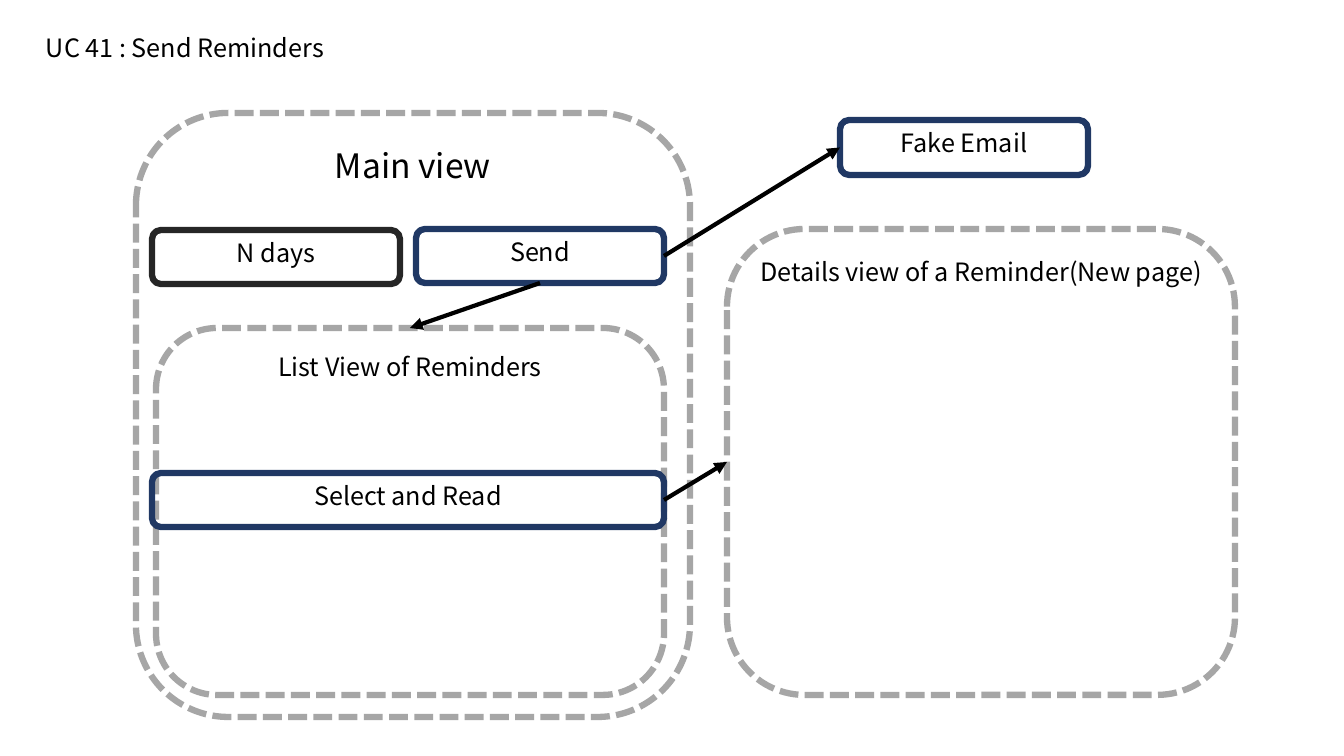
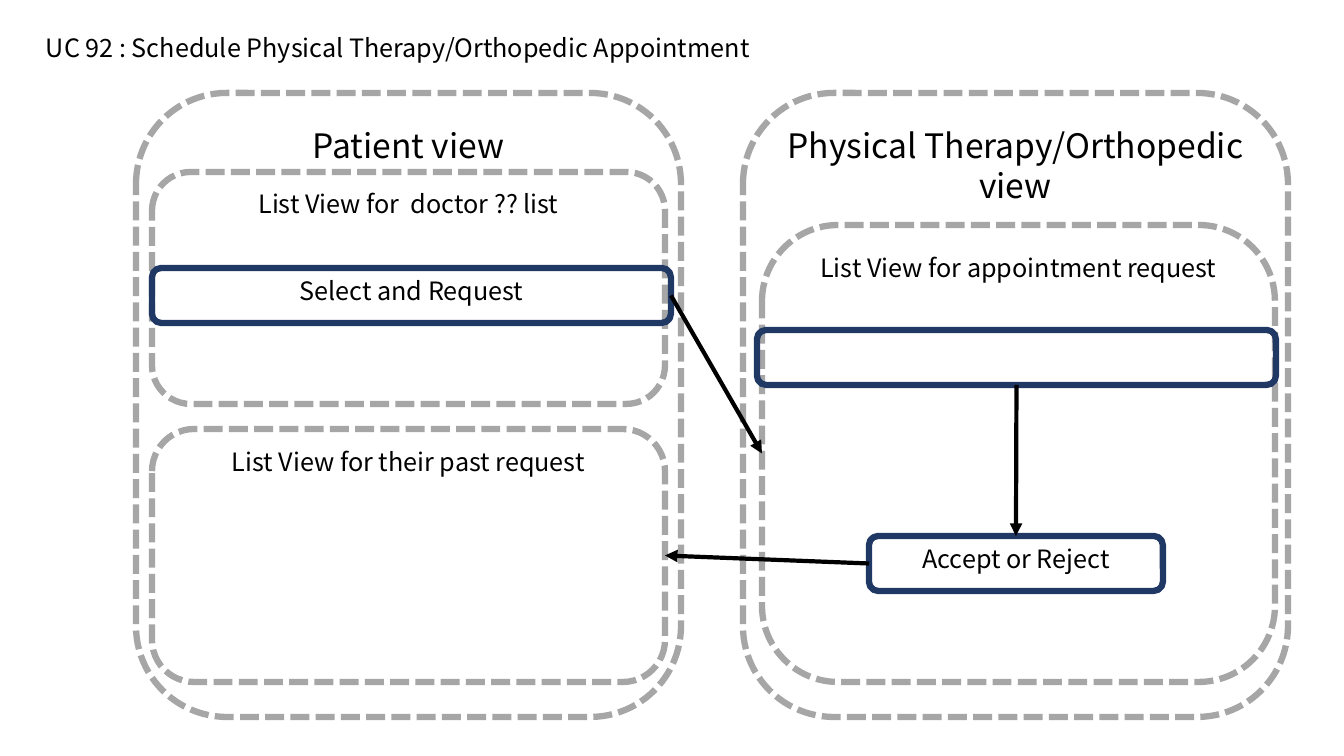
from dataclasses import dataclass

from lxml.etree import SubElement
from pptx import Presentation
from pptx.dml.color import RGBColor
from pptx.enum.dml import MSO_LINE
from pptx.enum.shapes import MSO_CONNECTOR, MSO_SHAPE
from pptx.enum.text import MSO_ANCHOR, MSO_AUTO_SIZE, PP_ALIGN
from pptx.oxml.ns import qn
from pptx.shapes.autoshape import Shape
from pptx.slide import Slide
from pptx.text.text import TextFrame
from pptx.util import Emu, Pt

PIXELS_PER_INCH = 100.8
SLIDE_WIDTH, SLIDE_HEIGHT = 1344, 756
FONT = "Noto Sans CJK KR"

BLACK = RGBColor(0x00, 0x00, 0x00)
GREY = RGBColor(0xA6, 0xA6, 0xA6)
CHARCOAL = RGBColor(0x26, 0x26, 0x26)
NAVY = RGBColor(0x20, 0x38, 0x64)

# Connection sites of a rounded rectangle
TOP, LEFT, BOTTOM, RIGHT = range(4)


@dataclass(frozen=True)
class Look:
    """Outline and text size of one kind of box."""

    color: RGBColor
    dashed: bool = False
    text_size: int = 18


VIEW = Look(GREY, dashed=True, text_size=24)
PANEL = Look(GREY, dashed=True)
ACTION = Look(NAVY)
FIELD = Look(CHARCOAL)


@dataclass(frozen=True)
class Box:
    """A rounded box of the wireframe, in pixels."""

    text: str
    look: Look
    left: int
    top: int
    width: int
    height: int


@dataclass(frozen=True)
class Arrow:
    """An arrow from a side of one box to a side of another."""

    start: Box
    start_side: int
    end: Box
    end_side: int


@dataclass(frozen=True)
class UseCase:
    """The content of one slide, boxes from back to front."""

    title: str
    title_width: int
    boxes: list[Box]
    arrows: list[Arrow]


def px(pixels: int) -> Emu:
    """Turn pixels into EMU."""
    return Emu(round(pixels * 914400 / PIXELS_PER_INCH))


def write(frame: TextFrame, text: str, size: int, align: PP_ALIGN) -> None:
    """Fill a text frame with one black paragraph."""
    frame.text = text
    frame.word_wrap = True
    frame.vertical_anchor = MSO_ANCHOR.TOP
    paragraph = frame.paragraphs[0]
    paragraph.alignment = align
    for run in paragraph.runs:
        run.font.name = FONT
        run.font.size = Pt(size)
        run.font.color.rgb = BLACK
        SubElement(run.font._element, qn("a:ea")).set("typeface", FONT)


def draw_title(slide: Slide, use_case: UseCase) -> None:
    """Draw the use case heading."""
    heading = slide.shapes.add_textbox(
        px(36), px(27), px(use_case.title_width), px(40)
    )
    write(heading.text_frame, use_case.title, 18, PP_ALIGN.LEFT)
    heading.text_frame.auto_size = MSO_AUTO_SIZE.SHAPE_TO_FIT_TEXT


def draw_box(slide: Slide, box: Box) -> Shape:
    """Draw an unfilled rounded box with its caption."""
    outline = slide.shapes.add_shape(
        MSO_SHAPE.ROUNDED_RECTANGLE,
        px(box.left), px(box.top), px(box.width), px(box.height),
    )
    outline.shadow.inherit = False
    outline.fill.background()
    outline.line.color.rgb = box.look.color
    outline.line.width = Pt(4.5)
    if box.look.dashed:
        outline.line.dash_style = MSO_LINE.SQUARE_DOT
    write(outline.text_frame, box.text, box.look.text_size, PP_ALIGN.CENTER)
    return outline


def draw_arrow(slide: Slide, arrow: Arrow, drawn: dict[Box, Shape]) -> None:
    """Connect two drawn boxes with an arrow."""
    link = slide.shapes.add_connector(MSO_CONNECTOR.STRAIGHT, 0, 0, 0, 0)
    link.begin_connect(drawn[arrow.start], arrow.start_side)
    link.end_connect(drawn[arrow.end], arrow.end_side)
    link.line.color.rgb = BLACK
    link.line.width = Pt(3)
    SubElement(link.line._get_or_add_ln(), qn("a:tailEnd")).set("type", "triangle")
    SubElement(link._element.spPr, qn("a:effectLst"))


def draw_use_case(deck: Presentation, use_case: UseCase) -> None:
    """Add one slide with its heading, boxes and arrows."""
    slide = deck.slides.add_slide(deck.slide_layouts[6])
    draw_title(slide, use_case)
    drawn = {box: draw_box(slide, box) for box in use_case.boxes}
    for arrow in use_case.arrows:
        draw_arrow(slide, arrow, drawn)


def send_reminders() -> UseCase:
    """Describe use case 41."""
    main = Box("Main view", VIEW, 136, 113, 554, 604)
    days = Box("N days", FIELD, 152, 230, 248, 54)
    send = Box("Send", ACTION, 416, 229, 248, 54)
    reminders = Box("List View of Reminders", PANEL, 156, 328, 508, 367)
    details = Box(
        "Details view of a Reminder(New page)", PANEL, 727, 229, 508, 466
    )
    select = Box("Select and Read", ACTION, 152, 473, 512, 54)
    email = Box("Fake Email", ACTION, 840, 120, 248, 55)
    return UseCase(
        "UC 41 : Send Reminders", 501,
        [main, days, send, reminders, details, select, email],
        [
            Arrow(send, BOTTOM, reminders, TOP),
            Arrow(select, RIGHT, details, LEFT),
            Arrow(send, RIGHT, email, LEFT),
        ],
    )


def schedule_appointment() -> UseCase:
    """Describe use case 92."""
    patient = Box("Patient view", VIEW, 136, 93, 545, 624)
    doctors = Box("List View for  doctor ?? list", PANEL, 152, 172, 513, 232)
    select = Box("Select and Request", ACTION, 152, 268, 519, 55)
    therapy = Box(
        "Physical Therapy/Orthopedic view", VIEW, 743, 93, 545, 624
    )
    past = Box("List View for their past request", PANEL, 152, 429, 513, 253)
    requests = Box(
        "List View for appointment request", PANEL, 762, 225, 513, 457
    )
    decision = Box("Accept or Reject", ACTION, 869, 536, 294, 55)
    request = Box("", ACTION, 757, 330, 519, 55)
    return UseCase(
        "UC 92 : Schedule Physical Therapy/Orthopedic Appointment", 850,
        [patient, doctors, select, therapy, past, requests, decision, request],
        [
            Arrow(select, RIGHT, requests, LEFT),
            Arrow(decision, LEFT, past, RIGHT),
            Arrow(request, BOTTOM, decision, TOP),
        ],
    )


def main() -> None:
    """Build and save the wireframe deck."""
    deck = Presentation()
    deck.slide_width, deck.slide_height = px(SLIDE_WIDTH), px(SLIDE_HEIGHT)
    for use_case in (send_reminders(), schedule_appointment()):
        draw_use_case(deck, use_case)
    deck.save("out.pptx")


main()
